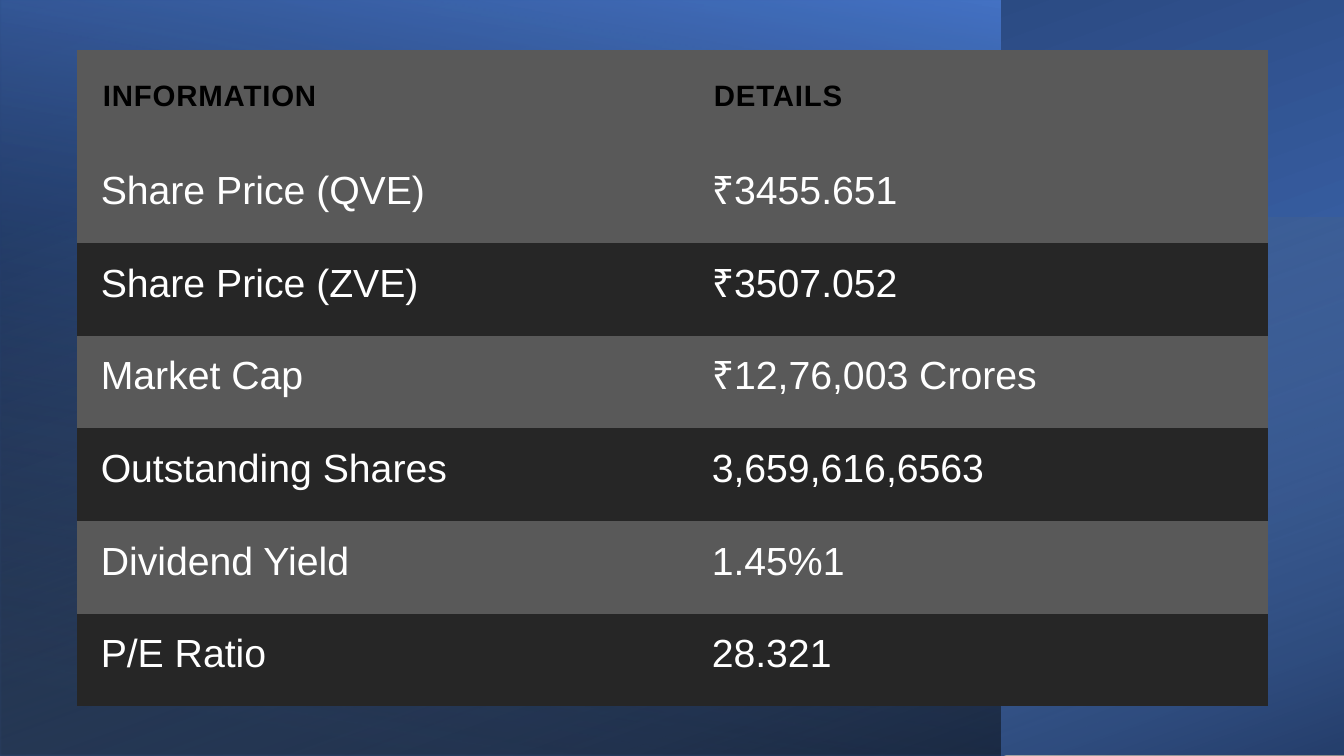
import pptx
import pptx.dml.color
import pptx.enum.shapes
import pptx.enum.text
import pptx.oxml
import pptx.oxml.ns
import pptx.util

RGB = pptx.dml.color.RGBColor
BLACK = RGB(0x00, 0x00, 0x00)
WHITE = RGB(0xFF, 0xFF, 0xFF)
BLUE = RGB(0x44, 0x72, 0xC4)
NAVY = RGB(0x20, 0x38, 0x64)
SKY = RGB(0x9D, 0xC3, 0xE6)
GREY = RGB(0x59, 0x59, 0x59)
DARK = RGB(0x26, 0x26, 0x26)

SCALE = 9144  # EMU per px, 100 px to the inch
PLAIN = "{2D5ABB26-0587-4C30-8999-92F81FD0307C}"  # table style without grid

ROWS = [
    ("INFORMATION", "DETAILS"),
    ("Share Price (QVE)", "₹3455.651"),
    ("Share Price (ZVE)", "₹3507.052"),
    ("Market Cap", "₹12,76,003 Crores"),
    ("Outstanding Shares", "3,659,616,6563"),
    ("Dividend Yield", "1.45%1"),
    ("P/E Ratio", "28.321"),
]


def emu(px):
    return pptx.util.Emu(px * SCALE)


class Deck:
    font = "Arial"
    lead = pptx.util.Pt(18)

    def __init__(self, width, height):
        self.prs = pptx.Presentation()
        self.prs.slide_width = emu(width)
        self.prs.slide_height = emu(height)
        self.slide = self.prs.slides.add_slide(self.prs.slide_layouts[6])

    def panel(self, box, turn, angle, stops):
        """Add a mirrored, turned rectangle; stops are (place, colour, opacity) in percent."""
        shape = self.slide.shapes.add_shape(
            pptx.enum.shapes.MSO_SHAPE.RECTANGLE, *map(emu, box))
        shape.shadow.inherit = False
        shape.line.fill.background()
        shape.rotation = turn
        props = shape.element.spPr
        props.xfrm.set("flipH", "1")
        marks = "".join(
            f'<a:gs pos="{place * 1000}"><a:srgbClr val="{color}">'
            f'<a:alpha val="{alpha * 1000}"/></a:srgbClr></a:gs>'
            for place, color, alpha in stops)
        fill = pptx.oxml.parse_xml(
            f'<a:gradFill {pptx.oxml.ns.nsdecls("a")}><a:gsLst>{marks}</a:gsLst>'
            f'<a:lin ang="{angle * 60000}" scaled="0"/></a:gradFill>')
        props.prstGeom.addnext(fill)

    def cell(self, cell, text, head, fill):
        cell.fill.solid()
        cell.fill.fore_color.rgb = fill
        cell.vertical_anchor = pptx.enum.text.MSO_ANCHOR.MIDDLE
        side = emu(26 if head else 24)
        cell.margin_left = cell.margin_right = cell.margin_top = side
        cell.margin_bottom = emu(26 if head else 17)
        para = cell.text_frame.paragraphs[0]
        para.line_spacing = self.lead
        run = para.add_run()
        run.text = text
        run.font.name = self.font
        run.font.size = pptx.util.Pt(21 if head else 28)
        run.font.bold = head
        run.font.color.rgb = BLACK if head else WHITE
        if head:
            run._r.get_or_add_rPr().set("spc", "60")

    def table(self, left, top, widths, heights, rows):
        frame = self.slide.shapes.add_table(
            len(rows), len(widths), emu(left), emu(top),
            emu(sum(widths)), emu(sum(heights)))
        table = frame.table
        table.first_row = table.horz_banding = False
        style = frame.element.find(".//" + pptx.oxml.ns.qn("a:tableStyleId"))
        style.text = PLAIN
        for col, width in zip(table.columns, widths):
            col.width = emu(width)
        for i, (row, height) in enumerate(zip(rows, heights)):
            table.rows[i].height = emu(height)
            fill = DARK if i and i % 2 == 0 else GREY
            for j, text in enumerate(row):
                self.cell(table.cell(i, j), text, i == 0, fill)


def main():
    deck = Deck(1333, 750)
    deck.panel((292, -292, 750, 1333), 270, 200, [(8, BLUE, 100), (100, NAVY, 100)])
    deck.panel((0, 0, 992, 750), 180, 80, [(8, BLACK, 52), (100, BLUE, 100)])
    deck.panel((399, -184, 535, 1334), 270, 20, [(0, SKY, 0), (100, BLACK, 46)])
    deck.table(76, 50, [606, 576], [99] + [92] * (len(ROWS) - 1), ROWS)
    deck.prs.save("out.pptx")


if __name__ == "__main__":
    main()
